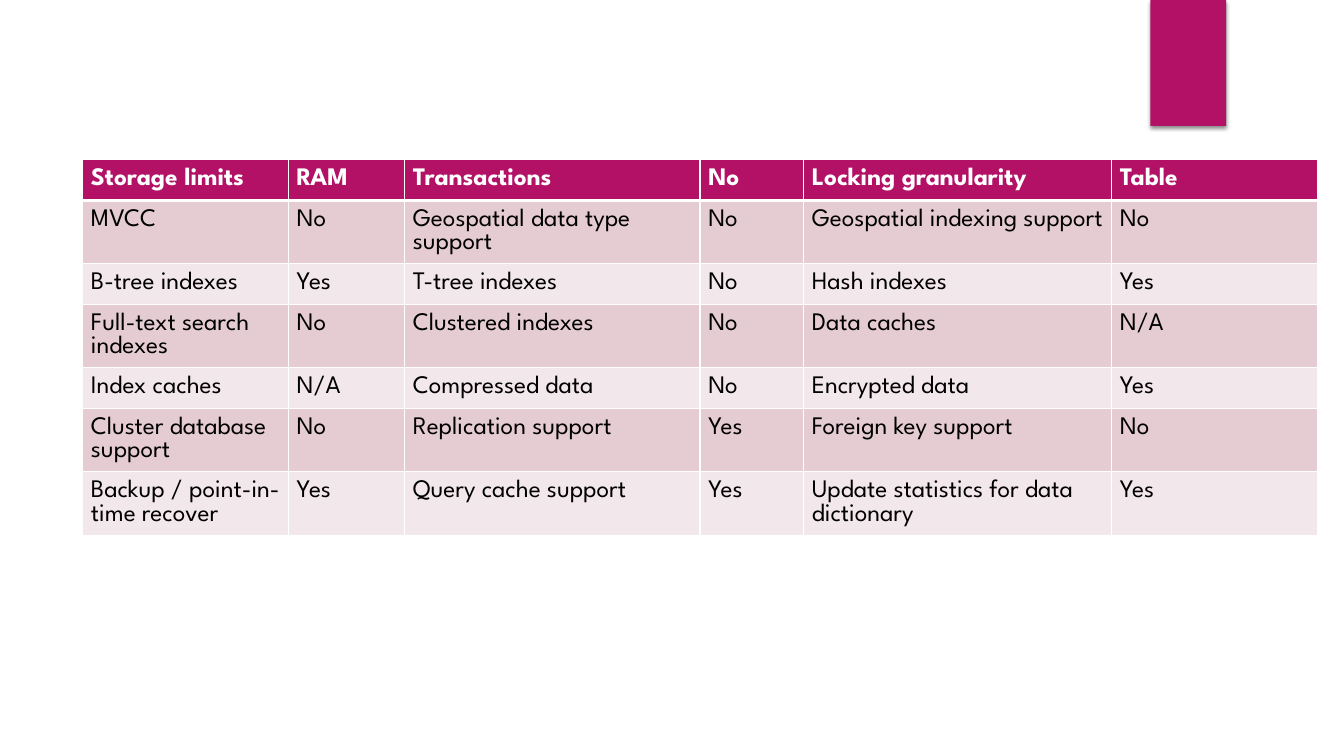
import pptx
import pptx.dml.color
import pptx.enum.shapes
import pptx.oxml
import pptx.oxml.ns
import pptx.util

Pt = pptx.util.Pt
RGBColor = pptx.dml.color.RGBColor

MAGENTA = RGBColor(0xB3, 0x11, 0x66)
ROSE = RGBColor(0xE5, 0xCC, 0xD3)
PALE_ROSE = RGBColor(0xF2, 0xE7, 0xEA)
WHITE = RGBColor(0xFF, 0xFF, 0xFF)
BLACK = RGBColor(0x00, 0x00, 0x00)

FONT = "League Spartan"
COLUMN_WIDTHS = [147, 83, 211, 74, 220, 147]
ROW_HEIGHT = 29.2
FEATURES = [
    ["Storage limits", "RAM", "Transactions", "No", "Locking granularity", "Table"],
    ["MVCC", "No", "Geospatial data type support", "No", "Geospatial indexing support", "No"],
    ["B-tree indexes", "Yes", "T-tree indexes", "No", "Hash indexes", "Yes"],
    ["Full-text search indexes", "No", "Clustered indexes", "No", "Data caches", "N/A"],
    ["Index caches", "N/A", "Compressed data", "No", "Encrypted data", "Yes"],
    ["Cluster database support", "No", "Replication support", "Yes", "Foreign key support", "No"],
    ["Backup / point-in-time recover", "Yes", "Query cache support", "Yes",
     "Update statistics for data dictionary", "Yes"],
]


def write_text(frame, text, size=18, color=BLACK, bold=False):
    """Write one formatted run into the first paragraph of a text frame."""
    span = frame.paragraphs[0].add_run()
    span.text = text
    span.font.name = FONT
    span.font.size = Pt(size)
    span.font.color.rgb = color
    span.font.bold = bold


def set_borders(cell, top=1, bottom=1):
    """Give a cell white borders with the given top and bottom widths."""
    properties = cell._tc.get_or_add_tcPr()
    widths = {"lnL": 1, "lnR": 1, "lnT": top, "lnB": bottom}
    for position, (side, width) in enumerate(widths.items()):
        border = pptx.oxml.parse_xml(
            f'<a:{side} {pptx.oxml.ns.nsdecls("a")} w="{Pt(width)}">'
            f'<a:solidFill><a:srgbClr val="{WHITE}"/></a:solidFill></a:{side}>')
        properties.insert(position, border)


def add_shadow(box, blur, distance, opacity):
    """Put a soft black shadow straight below a shape."""
    box.shadow.inherit = False
    effects = box._element.spPr.find(pptx.oxml.ns.qn("a:effectLst"))
    effects.append(pptx.oxml.parse_xml(
        f'<a:outerShdw {pptx.oxml.ns.nsdecls("a")} blurRad="{Pt(blur)}" '
        f'dist="{Pt(distance)}" dir="5400000" rotWithShape="0">'
        f'<a:srgbClr val="{BLACK}"><a:alpha val="{opacity * 1000}"/></a:srgbClr>'
        '</a:outerShdw>'))


def add_tab(page, left, top, width, height):
    """Add the coloured tab that hangs from the top edge."""
    box = page.shapes.add_shape(pptx.enum.shapes.MSO_SHAPE.RECTANGLE,
                                Pt(left), Pt(top), Pt(width), Pt(height))
    box.fill.solid()
    box.fill.fore_color.rgb = MAGENTA
    box.line.fill.background()
    add_shadow(box, blur=3, distance=2, opacity=45)


def fill_cell(cell, text, row):
    """Format and fill a table cell according to its row."""
    header = row == 0
    cell.margin_left = cell.margin_right = Pt(6)
    cell.margin_top = cell.margin_bottom = Pt(6)
    cell.fill.solid()
    cell.fill.fore_color.rgb = MAGENTA if header else ROSE if row % 2 else PALE_ROSE
    set_borders(cell, top=3 if row == 1 else 1, bottom=3 if header else 1)
    write_text(cell.text_frame, text, color=WHITE if header else BLACK, bold=header)


def add_feature_table(page, left, top):
    """Add the table of storage engine features."""
    table = page.shapes.add_table(
        len(FEATURES), len(COLUMN_WIDTHS), Pt(left), Pt(top),
        Pt(sum(COLUMN_WIDTHS)), Pt(ROW_HEIGHT * len(FEATURES))).table
    table.horz_banding = False
    for column, width in zip(table.columns, COLUMN_WIDTHS):
        column.width = Pt(width)
    for row, texts in enumerate(FEATURES):
        table.rows[row].height = Pt(ROW_HEIGHT)
        for column, text in enumerate(texts):
            fill_cell(table.cell(row, column), text, row)


def main():
    """Build the slide and save the deck."""
    deck = pptx.Presentation()
    deck.slide_width, deck.slide_height = Pt(960), Pt(540)
    page = deck.slides.add_slide(deck.slide_layouts[6])
    add_tab(page, 821.8, 0, 54, 90)
    add_feature_table(page, 59, 114)
    deck.save("out.pptx")


if __name__ == "__main__":
    main()
